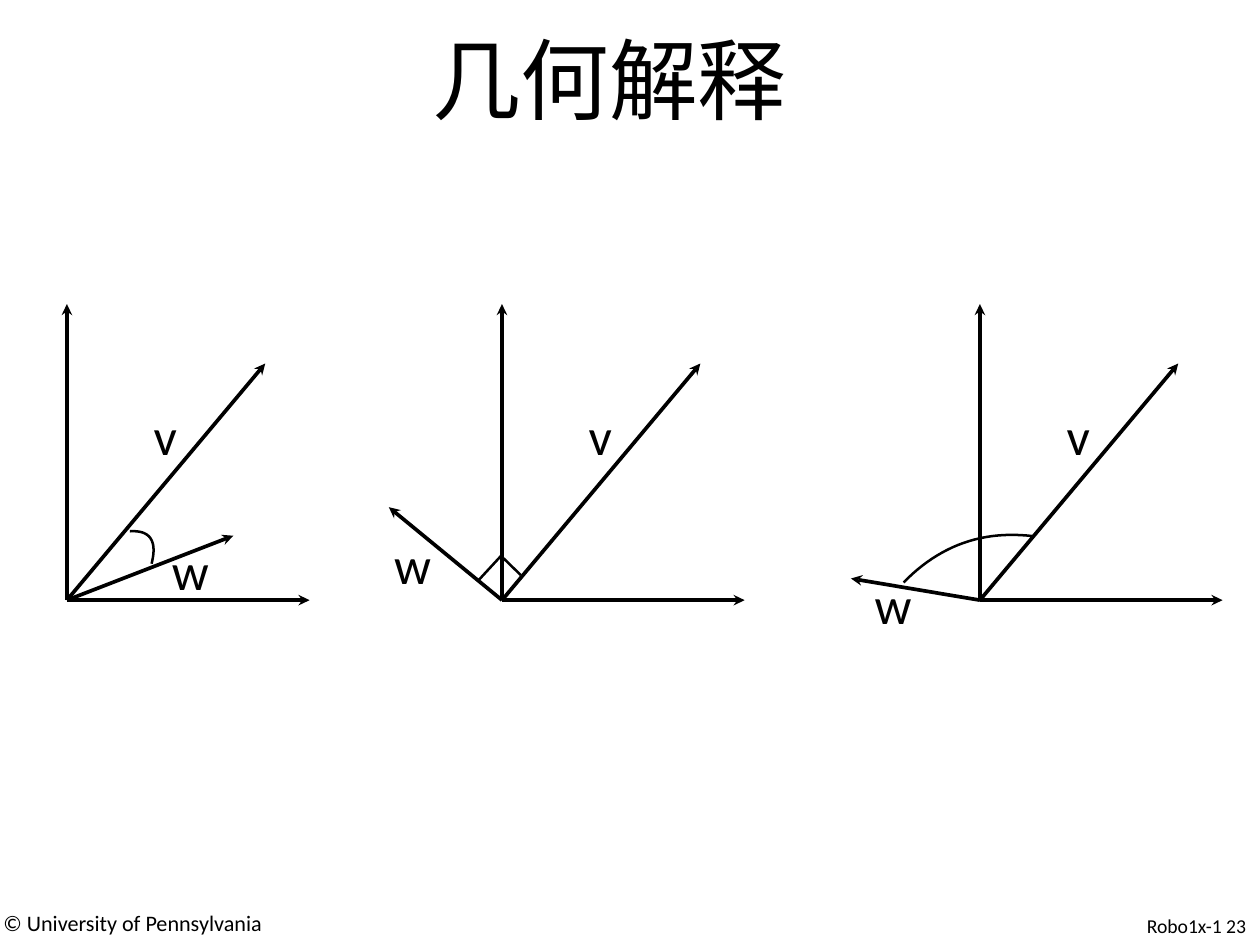
from math import hypot
from lxml.etree import SubElement
from pptx import Presentation
from pptx.dml.color import RGBColor as RGB
from pptx.enum.shapes import MSO_CONNECTOR as CONN
from pptx.enum.text import MSO_ANCHOR as ANCHOR, MSO_AUTO_SIZE as AUTO, PP_ALIGN as ALIGN
from pptx.oxml.ns import qn
from pptx.util import Inches, Pt

WIDTH, HEIGHT = Inches(14.22), Inches(10.67)
COLUMNS = 128
FONT = "Calibri"
COLORS = {"ink": "000000", "paper": "FFFFFF"}
UP, RIGHT, V = (0, -30.1), (24.65, 0), (20.15, -24.05)
ORIGIN_ROW = 61
V_LABEL = (8.8, -19.95)
NOTCH = (-0.75, 0)
HEAD = [(0, 0), (-1.15, 0.55), NOTCH, (-1.15, -0.55)]


def cells(n):
    """Turn a count of square grid cells into a length."""
    return round(n * WIDTH / COLUMNS)


def shift(origin, offset):
    """Return the point that lies at an offset from an origin, in cells."""
    return origin[0] + offset[0], origin[1] + offset[1]


def turn(point, vector):
    """Rotate a point so that its x axis follows a vector."""
    length = hypot(*vector)
    (x, y), (dx, dy) = point, vector
    return (x * dx - y * dy) / length, (x * dy + y * dx) / length


def curve(start, control, end, steps=24):
    """Return points along a quadratic curve."""
    return [
        tuple((1 - t) ** 2 * a + 2 * t * (1 - t) * b + t * t * c
              for a, b, c in zip(start, control, end))
        for t in (i / steps for i in range(steps + 1))
    ]


def style_line(line, width):
    """Give a line its colour and width."""
    line.color.rgb = RGB.from_string(COLORS["ink"])
    line.width = Pt(width)


def style_text(tf, text, size, spacing=None):
    """Write one paragraph without margins into a text frame."""
    tf.margin_left = tf.margin_right = tf.margin_top = tf.margin_bottom = 0
    tf.word_wrap = True
    tf.auto_size = AUTO.NONE
    tf.vertical_anchor = ANCHOR.TOP
    tf.text = text
    p = tf.paragraphs[0]
    p.font.name = FONT
    p.font.size = Pt(size)
    p.font.color.rgb = RGB.from_string(COLORS["ink"])
    if spacing:
        p.line_spacing = Pt(spacing)
    return p


def add_title(s, text):
    """Fill and place the title placeholder."""
    sp = s.shapes.title
    sp.left, sp.top, sp.width, sp.height = map(cells, (15.55, 2.5, 92.7, 10.9))
    style_text(sp.text_frame, text, 72).alignment = ALIGN.CENTER


def add_text(s, text, at, box, size, spacing=None):
    """Add a text box at a grid point."""
    sp = s.shapes.add_textbox(*map(cells, (*at, *box)))
    style_text(sp.text_frame, text, size, spacing)


def add_outline(s, origin, offsets, close):
    """Add a freeform through points given as offsets from an origin."""
    points = [tuple(map(cells, shift(origin, o))) for o in offsets]
    builder = s.shapes.build_freeform(*points[0])
    builder.add_line_segments(points[1:], close=close)
    sp = builder.convert_to_shape()
    sp.shadow.inherit = False
    return sp


def add_arrow(s, origin, vector):
    """Draw a vector with a notched head at its tip."""
    tip = shift(origin, vector)
    notch = shift(tip, turn(NOTCH, vector))
    sp = s.shapes.add_connector(CONN.STRAIGHT, *map(cells, (*origin, *notch)))
    style_line(sp.line, 3)
    SubElement(sp._element.spPr, qn("a:effectLst"))
    head = add_outline(s, tip, [turn(o, vector) for o in HEAD], True)
    head.fill.solid()
    head.fill.fore_color.rgb = RGB.from_string(COLORS["ink"])
    head.line.fill.background()


def add_angle_mark(s, origin, offsets):
    """Draw an open outline that marks an angle."""
    sp = add_outline(s, origin, offsets, False)
    sp.fill.background()
    style_line(sp.line, 2.04)


def add_diagram(s, column, w, w_label, mark):
    """Draw axes, the vectors v and w, and the angle between them."""
    origin = (column, ORIGIN_ROW)
    for vector in (UP, RIGHT, w, V):
        add_arrow(s, origin, vector)
    add_angle_mark(s, origin, mark)
    add_text(s, "v", shift(origin, V_LABEL), (2.6, 6.65), 42)
    add_text(s, "w", shift(origin, w_label), (4.05, 6.65), 42)


def main():
    """Build the slide and save it."""
    prs = Presentation()
    prs.slide_width, prs.slide_height = WIDTH, HEIGHT
    s = prs.slides.add_slide(prs.slide_layouts[5])
    s.background.fill.solid()
    s.background.fill.fore_color.rgb = RGB.from_string(COLORS["paper"])

    add_title(s, "几何解释")
    acute = curve((6.4, -7), (9.5, -7.2), (8.6, -3.7))
    right = [(-2.5, -1.9), (-0.1, -4.5), (1.9, -2.55)]
    obtuse = curve((-7.75, -1.8), (-2.25, -7.45), (5.4, -6.5))
    add_diagram(s, 6.8, (16.9, -6.55), (10.65, -6.25), acute)
    add_diagram(s, 51, (-11.5, -9.45), (-10.95, -6.85), right)
    add_diagram(s, 99.55, (-13.1, -2.2), (-10.7, -2.8), obtuse)

    add_text(s, "© University of Pennsylvania", (0.35, 92.9), (28, 2.5), 18, 18.1)
    add_text(s, "Robo1x-1 23", (116.5, 93.25), (11.4, 2.25), 16, 16.1)
    prs.save("out.pptx")


if __name__ == "__main__":
    main()
